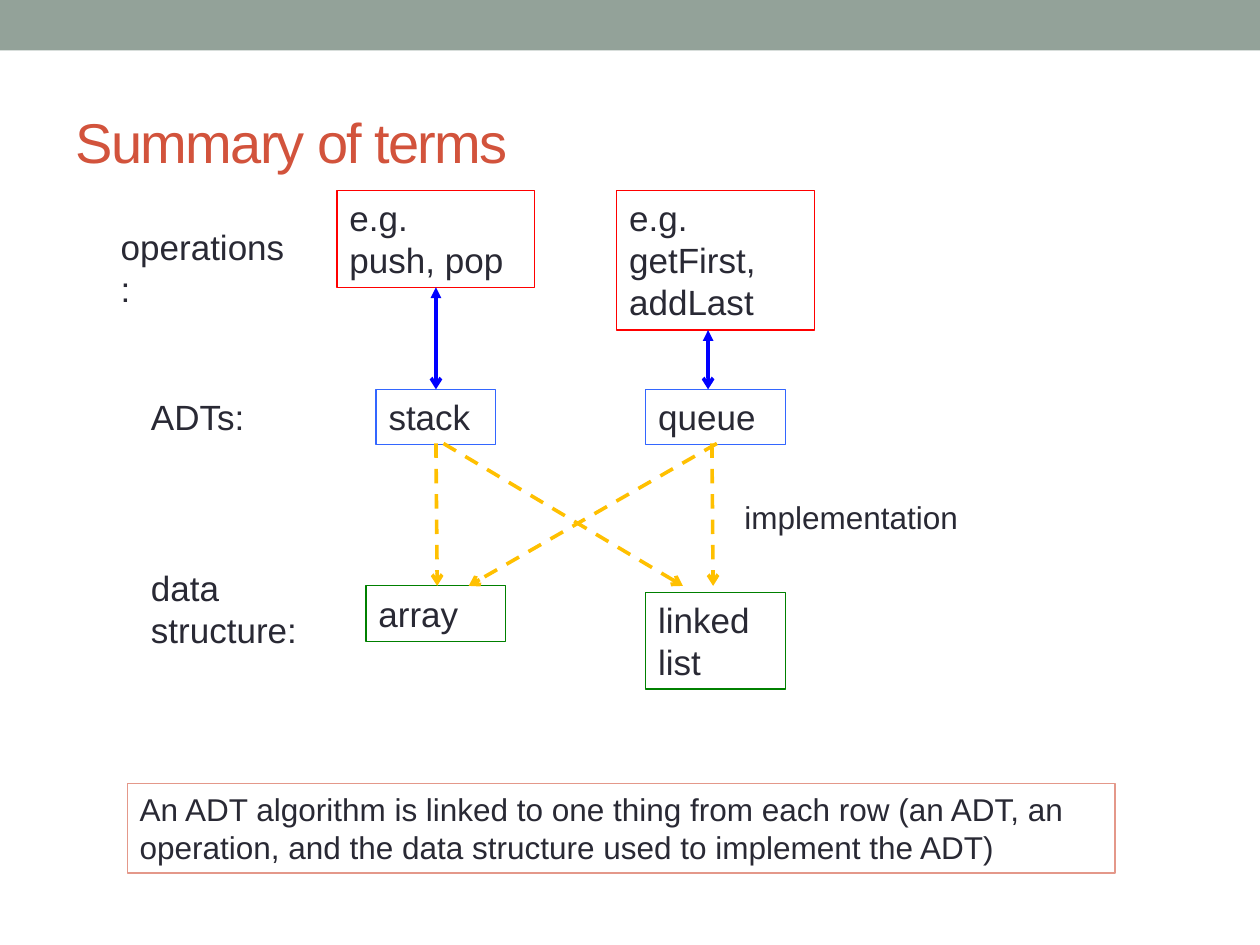
from lxml import etree
from pptx import Presentation
from pptx.dml.color import RGBColor
from pptx.enum.dml import MSO_LINE
from pptx.enum.shapes import MSO_CONNECTOR, MSO_SHAPE
from pptx.enum.text import MSO_ANCHOR, MSO_AUTO_SIZE, PP_ALIGN
from pptx.oxml.ns import qn
from pptx.util import Inches, Pt

RECTANGLE = MSO_SHAPE.RECTANGLE
STRAIGHT = MSO_CONNECTOR.STRAIGHT
DASH = MSO_LINE.DASH
TOP, MIDDLE = MSO_ANCHOR.TOP, MSO_ANCHOR.MIDDLE
LEFT = PP_ALIGN.LEFT
FIT_SHAPE = MSO_AUTO_SIZE.SHAPE_TO_FIT_TEXT

# The slide is a grid of 100 columns by 75 rows.
COLUMNS, ROWS = 100, 75
CELL = Inches(0.1)

INK, BAND, TITLE = "292934", "93A299", "D2533C"
OPERATION, ADT, STRUCTURE, NOTE = "FF0000", "3366FF", "008000", "E4988A"
USES, IMPLEMENTS = "0000FF", "FFC000"


def color(hex_string):
    return RGBColor.from_string(hex_string)


def cells(*counts):
    return [round(count * CELL) for count in counts]


def style_text(frame, size, ink=INK):
    for paragraph in frame.paragraphs:
        paragraph.alignment = LEFT
        for run in paragraph.runs:
            run.font.name = "Arial"
            run.font.size = Pt(size)
            run.font.color.rgb = color(ink)


def add_term(slide, box, text, size=20, outline=None):
    """Place a term in the box, framed when an outline colour is given."""
    if outline:
        term = slide.shapes.add_shape(RECTANGLE, *cells(*box))
        term.shadow.inherit = False
        term.fill.background()
        term.line.color.rgb = color(outline)
        term.line.width = Pt(0.75)
    else:
        term = slide.shapes.add_textbox(*cells(*box))
    frame = term.text_frame
    frame.word_wrap = True
    frame.auto_size = FIT_SHAPE
    frame.vertical_anchor = TOP
    frame.text = text
    style_text(frame, size)


def add_arrow(slide, start, end, ink, both_ends=False, dashed=False):
    arrow = slide.shapes.add_connector(STRAIGHT, *cells(*start, *end))
    arrow.line.color.rgb = color(ink)
    arrow.line.width = Pt(2.08)
    if dashed:
        arrow.line.dash_style = DASH
    outline = arrow.line._get_or_add_ln()
    if both_ends:
        etree.SubElement(outline, qn("a:headEnd"), type="triangle")
    etree.SubElement(outline, qn("a:tailEnd"), type="arrow")
    etree.SubElement(arrow._element.spPr, qn("a:effectLst"))


def add_band(slide, box):
    band = slide.shapes.add_shape(RECTANGLE, *cells(*box))
    band.shadow.inherit = False
    band.fill.solid()
    band.fill.fore_color.rgb = color(BAND)
    band.line.fill.background()


def add_title(slide, box, text):
    title = slide.shapes.title
    title.left, title.top, title.width, title.height = cells(*box)
    frame = title.text_frame
    frame.text = text
    frame.vertical_anchor = MIDDLE
    style_text(frame, 32, TITLE)
    for run in frame.paragraphs[0].runs:
        run.font._element.set("spc", "-100")


def add_terms_diagram(slide, box):
    """Rows of operations, ADTs and data structures, joined by arrows."""
    left, top = box[:2]
    stack_center, queue_center = 26, 48.2
    adt_top, adt_bottom, structure_top = 15.8, 20.1, 31.4

    def at(x, y):
        return left + x, top + y

    labels = [
        ("operations:", 0, 2.3, 15.7, 4.4, 20),
        ("ADTs:", 2.4, adt_top, 13.3, 4.4, 20),
        ("data structure:", 2.4, 29.4, 15.7, 7.7, 20),
        ("implementation", 49.5, 23.9, 26.8, 4, 18),
    ]
    for text, x, y, width, height, size in labels:
        add_term(slide, (*at(x, y), width, height), text, size)

    framed_terms = [
        ("e.g.\npush, pop", stack_center, 0, 15.7, 7.7, OPERATION),
        ("e.g.\ngetFirst, addLast", queue_center, 0, 15.7, 11.1, OPERATION),
        ("stack", stack_center, adt_top, 9.5, 4.4, ADT),
        ("queue", queue_center, adt_top, 11.1, 4.4, ADT),
        ("array", stack_center, structure_top, 11.1, 4.4, STRUCTURE),
        ("linked list", queue_center, structure_top + 0.5, 11.1, 7.7, STRUCTURE),
    ]
    for text, center, y, width, height, outline in framed_terms:
        add_term(slide, (*at(center - width / 2, y), width, height), text,
                 outline=outline)

    for x, operation_bottom in [(26, 7.7), (47.6, 11.1)]:
        add_arrow(slide, at(x, operation_bottom), at(x, adt_top), USES,
                  both_ends=True)
    for adt_x, structure_x in [(26, 26.1), (26.6, 45.6), (47.9, 48), (48.3, 28.6)]:
        add_arrow(slide, at(adt_x, adt_bottom), at(structure_x, structure_top),
                  IMPLEMENTS, dashed=True)


def main():
    deck = Presentation()
    deck.slide_width, deck.slide_height = cells(COLUMNS, ROWS)
    slide = deck.slides.add_slide(deck.slide_layouts[5])
    add_band(slide, (0, 0, COLUMNS, 4))
    add_title(slide, (5, 5.8, 90, 10.8), "Summary of terms")
    add_terms_diagram(slide, (8.6, 15.1, 76.3, 39.6))
    add_term(slide, (10.1, 62.2, 78.4, 7.1),
             "An ADT algorithm is linked to one thing from each row (an ADT, an "
             "operation, and the data structure used to implement the ADT)",
             18, NOTE)
    deck.save("out.pptx")


if __name__ == "__main__":
    main()
